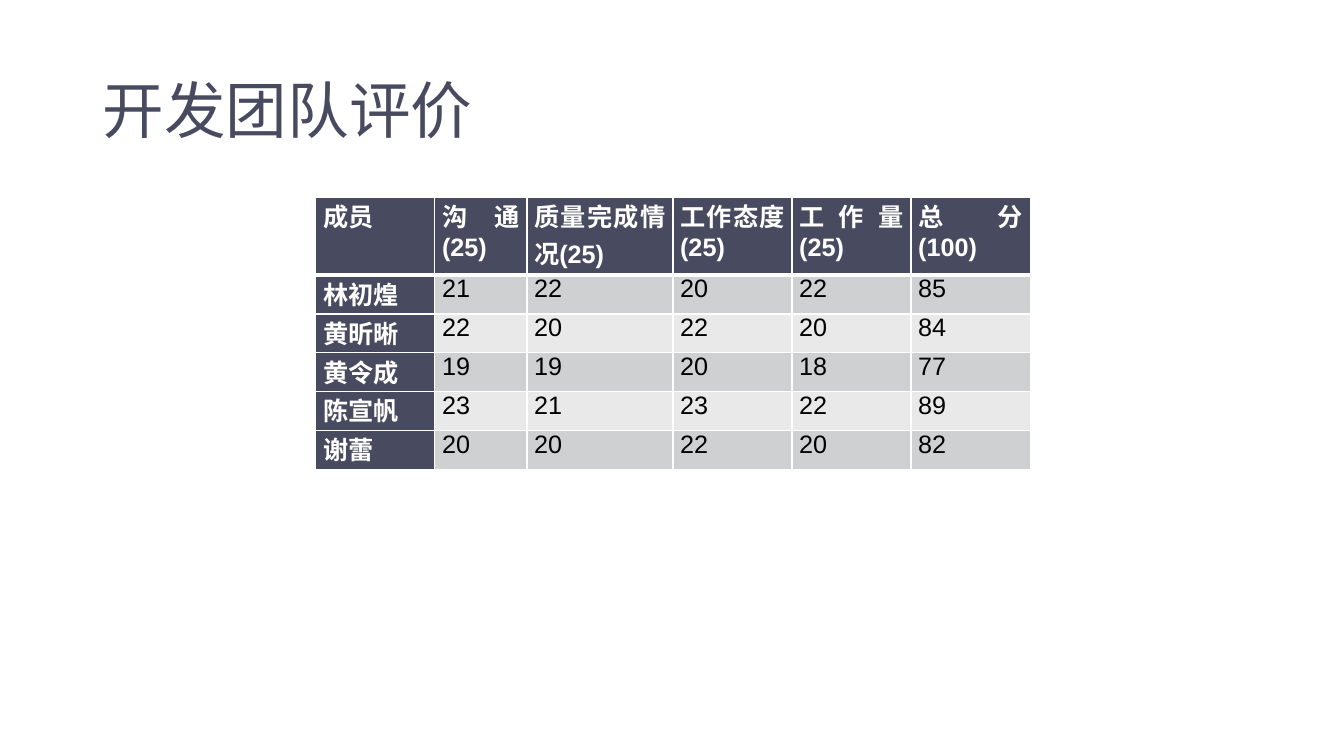
from dataclasses import dataclass

from lxml import etree
from pptx import Presentation
from pptx import util as u
from pptx.dml import color
from pptx.enum import text
from pptx.oxml import ns


@dataclass(frozen=True)
class Theme:
    font: str = "Arial"
    ink: str = "484A5F"
    white: str = "FFFFFF"
    black: str = "000000"
    bands: tuple = ("CFD0D2", "E9E9EA")
    title_size: int = 44
    table_size: int = 18
    thin: int = 1
    thick: int = 3


def apply(target, formats):
    for name, value in formats.items():
        setattr(target, name, value)


class SlideBuilder:
    def __init__(self, deck, theme):
        self.theme = theme
        self.page = deck.slides.add_slide(deck.slide_layouts[6])

    def add_words(self, frame, words, size, tint, bold=False, **layout):
        para = frame.paragraphs[0]
        apply(para, layout)
        span = para.add_run()
        span.text = words
        apply(span.font, {"name": self.theme.font, "size": u.Pt(size), "bold": bold})
        span.font.color.rgb = color.RGBColor.from_string(tint)

    def title(self, words, left, top, width, height):
        box = self.page.shapes.add_textbox(*map(u.Cm, (left, top, width, height)))
        apply(box.text_frame, {"word_wrap": True, "vertical_anchor": text.MSO_ANCHOR.MIDDLE})
        self.add_words(box.text_frame, words, self.theme.title_size, self.theme.ink, line_spacing=0.9)

    def border(self, cell, side, points):
        properties = cell._tc.get_or_add_tcPr()
        line = etree.SubElement(properties, ns.qn(f"a:ln{side}"), w=str(u.Pt(points)))
        fill = etree.SubElement(line, ns.qn("a:solidFill"))
        etree.SubElement(fill, ns.qn("a:srgbClr"), val=self.theme.white)

    def cell(self, cell, words, row, column):
        theme = self.theme
        heading = row == 0 or column == 0
        margin = u.Cm(0.18)
        apply(cell, {"margin_left": margin, "margin_right": margin,
                     "margin_top": 0, "margin_bottom": 0})
        thick_side = {0: "B", 1: "T"}.get(row)
        for side in "LRTB":
            self.border(cell, side, theme.thick if side == thick_side else theme.thin)
        cell.fill.solid()
        tint = theme.ink if heading else theme.bands[(row - 1) % 2]
        cell.fill.fore_color.rgb = color.RGBColor.from_string(tint)
        self.add_words(cell.text_frame, words, theme.table_size,
                       theme.white if heading else theme.black, heading,
                       alignment=text.PP_ALIGN.JUSTIFY)

    def table(self, rows, left, top, widths, heights):
        places = map(u.Cm, (left, top, sum(widths), sum(heights)))
        table = self.page.shapes.add_table(len(rows), len(widths), *places).table
        table.first_col = True
        for column, width in zip(table.columns, widths):
            column.width = u.Cm(width)
        for line, height in zip(table.rows, heights):
            line.height = u.Cm(height)
        for row, values in enumerate(rows):
            for column, value in enumerate(values):
                self.cell(table.cell(row, column), str(value), row, column)


def main():
    deck = Presentation()
    apply(deck, {"slide_width": u.Cm(33.87), "slide_height": u.Cm(19.05)})
    builder = SlideBuilder(deck, Theme())
    builder.title("开发团队评价", 2.34, 1.02, 29.21, 3.68)
    ratings = [
        ("成员", "沟通(25)", "质量完成情况(25)", "工作态度(25)", "工作量(25)", "总分(100)"),
        ("林初煌", 21, 22, 20, 22, 85),
        ("黄昕晰", 22, 20, 22, 20, 84),
        ("黄令成", 19, 19, 20, 18, 77),
        ("陈宣帆", 23, 21, 23, 22, 89),
        ("谢蕾", 20, 20, 22, 20, 82),
    ]
    builder.table(ratings, 7.96, 4.98, [3, 2.32, 3.68, 3, 3, 3], [1.95] + [0.98] * 5)
    deck.save("out.pptx")


if __name__ == "__main__":
    main()
